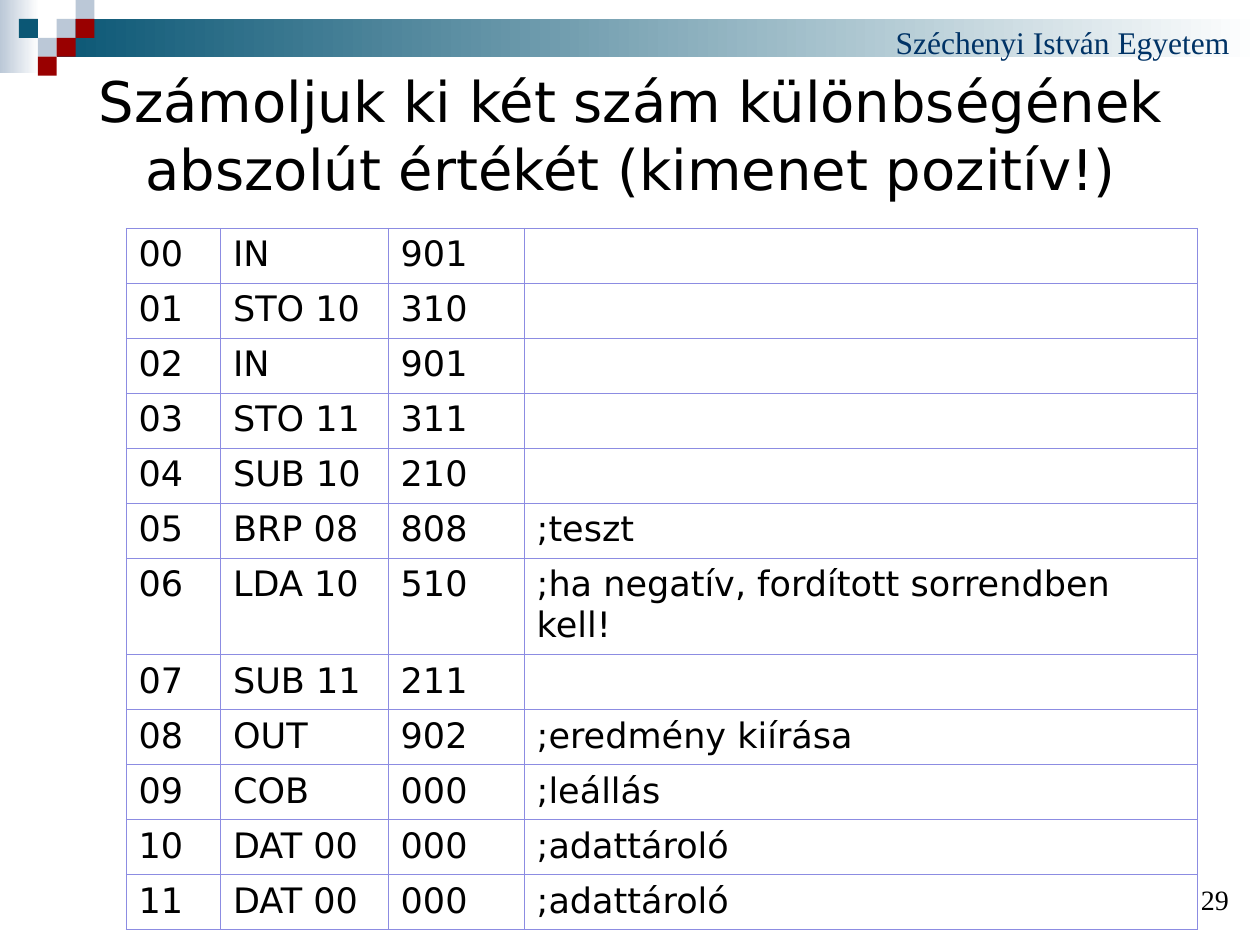
from dataclasses import dataclass

from lxml.etree import SubElement
from pptx import Presentation
from pptx.dml.color import RGBColor
from pptx.enum.shapes import MSO_SHAPE
from pptx.enum.text import MSO_ANCHOR, PP_ALIGN
from pptx.oxml.ns import qn
from pptx.util import Inches, Pt


@dataclass(frozen=True)
class Theme:
    teal: str = "0B5775"
    mist: str = "BBC8D7"
    red: str = "990000"
    white: str = "FFFFFF"
    black: str = "000000"
    navy: str = "003366"
    border: str = "8C8CE2"
    border_width: float = 0.34
    sans: str = "DejaVu Sans"
    serif: str = "Times New Roman"
    title_size: int = 32
    table_size: int = 20
    header_size: int = 18
    number_size: int = 16


PROGRAM = [
    ("00", "IN", "901", ""),
    ("01", "STO 10", "310", ""),
    ("02", "IN", "901", ""),
    ("03", "STO 11", "311", ""),
    ("04", "SUB 10", "210", ""),
    ("05", "BRP 08", "808", ";teszt"),
    ("06", "LDA 10", "510", ";ha negatív, fordított sorrendben kell!"),
    ("07", "SUB 11", "211", ""),
    ("08", "OUT", "902", ";eredmény kiírása"),
    ("09", "COB", "000", ";leállás"),
    ("10", "DAT 00", "000", ";adattároló"),
    ("11", "DAT 00", "000", ";adattároló"),
]
COLUMN_WIDTHS = [0.75, 1.33, 1.08, 5.34]
TABLE_HEIGHT = 5.55
TALL_ROW, TALL_HEIGHT = 6, 0.75
SQUARE = 0.15


class SlideBuilder:
    def __init__(self, slide, theme):
        self.slide = slide
        self.theme = theme

    def rectangle(self, left, top, width, height, color, fade_to=None):
        """Add a borderless rectangle, fading left to right if fade_to is given."""
        shape = self.slide.shapes.add_shape(
            MSO_SHAPE.RECTANGLE, *map(Inches, (left, top, width, height)))
        shape.shadow.inherit = False
        shape.line.fill.background()
        if fade_to:
            shape.fill.gradient()
            shape.fill.gradient_angle = 0
            for stop, stop_color, position in zip(
                    shape.fill.gradient_stops, (color, fade_to), (0, 1)):
                stop.color.rgb = RGBColor.from_string(stop_color)
                stop.position = position
        else:
            shape.fill.solid()
            shape.fill.fore_color.rgb = RGBColor.from_string(color)

    def fill_text(self, frame, text, size, font, color, align=PP_ALIGN.LEFT):
        para = frame.paragraphs[0]
        para.alignment = align
        span = para.add_run()
        span.text = text
        for name, value in {"size": Pt(size), "name": font, "bold": False}.items():
            setattr(span.font, name, value)
        span.font.color.rgb = RGBColor.from_string(color)

    def text(self, left, top, width, height, text, size, font, color,
             align=PP_ALIGN.LEFT, anchor=MSO_ANCHOR.TOP, insets=(0.1, 0.05)):
        box = self.slide.shapes.add_textbox(
            *map(Inches, (left, top, width, height)))
        side, end = map(Inches, insets)
        frame_format = {
            "word_wrap": True, "vertical_anchor": anchor,
            "margin_left": side, "margin_right": side,
            "margin_top": end, "margin_bottom": end,
        }
        for name, value in frame_format.items():
            setattr(box.text_frame, name, value)
        self.fill_text(box.text_frame, text, size, font, color, align)

    def cell_borders(self, cell):
        properties = cell._tc.get_or_add_tcPr()
        for index, side in enumerate(("lnL", "lnR", "lnT", "lnB")):
            line = properties.makeelement(
                qn(f"a:{side}"), {"w": str(int(Pt(self.theme.border_width)))})
            fill = SubElement(line, qn("a:solidFill"))
            SubElement(fill, qn("a:srgbClr"), val=self.theme.border)
            properties.insert(index, line)

    def table(self, left, top, rows, widths, heights):
        theme = self.theme
        table = self.slide.shapes.add_table(
            len(rows), len(widths), Inches(left), Inches(top),
            Inches(sum(widths)), Inches(sum(heights))).table
        table.first_row = table.horz_banding = False
        for column, width in zip(table.columns, widths):
            column.width = Inches(width)
        for row, height, values in zip(table.rows, heights, rows):
            row.height = Inches(height)
            for cell, value in zip(row.cells, values):
                cell.fill.background()
                self.cell_borders(cell)
                if value:
                    self.fill_text(cell.text_frame, value, theme.table_size,
                                   theme.sans, theme.black)


def main():
    deck = Presentation()
    deck.slide_width, deck.slide_height = Inches(10), Inches(7.5)
    theme = Theme()
    page = SlideBuilder(deck.slides.add_slide(deck.slide_layouts[6]), theme)

    page.rectangle(0, 0, 0.31, 0.58, theme.mist, fade_to=theme.white)
    page.rectangle(0.45, 0.15, 9.55, 0.3, theme.teal, fade_to=theme.white)
    mosaic = [(3, 1, theme.mist), (4, 0, theme.mist), (4, 1, theme.red),
              (2, 2, theme.mist), (1, 1, theme.teal), (3, 2, theme.red),
              (2, 3, theme.red)]
    for column, row, color in mosaic:
        page.rectangle(column * SQUARE, row * SQUARE, SQUARE, SQUARE, color)

    page.text(7.01, 0.13, 2.99, 0.4, "Széchenyi István Egyetem",
              theme.header_size, theme.serif, theme.navy)
    page.text(8.7, 6.98, 1.15, 0.34, "29", theme.number_size, theme.serif,
              theme.black, PP_ALIGN.RIGHT, MSO_ANCHOR.BOTTOM)
    page.text(0.51, 0.68, 9, 0.77,
              "Számoljuk ki két szám különbségének abszolút értékét "
              "(kimenet pozitív!)",
              theme.title_size, theme.sans, theme.black,
              PP_ALIGN.CENTER, MSO_ANCHOR.MIDDLE, insets=(0, 0))

    row_height = (TABLE_HEIGHT - TALL_HEIGHT) / (len(PROGRAM) - 1)
    heights = [TALL_HEIGHT if index == TALL_ROW else row_height
               for index in range(len(PROGRAM))]
    page.table(1, 1.81, PROGRAM, COLUMN_WIDTHS, heights)

    deck.save("out.pptx")


if __name__ == "__main__":
    main()
